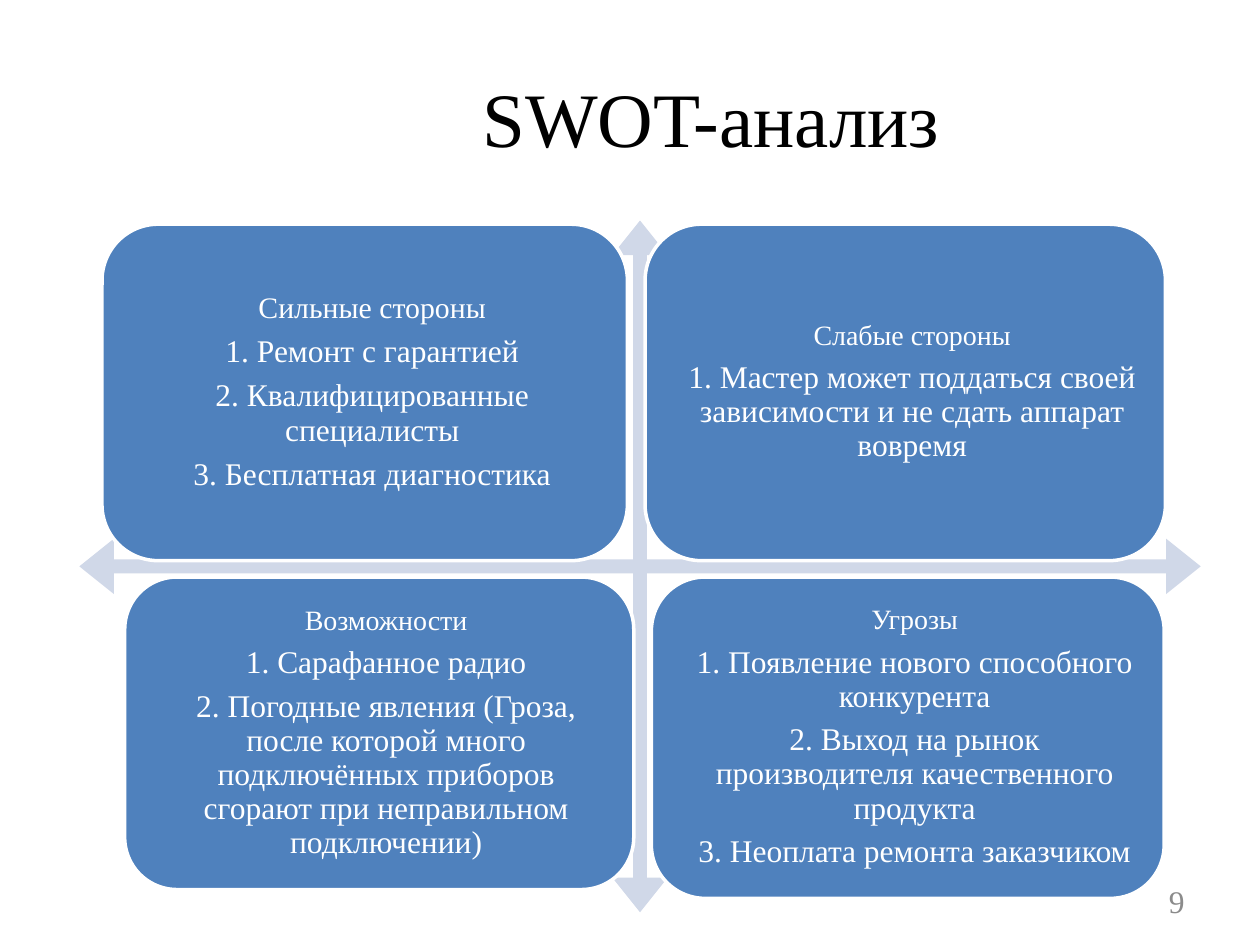
import pptx
import pptx.util
import pptx.dml.color
import pptx.enum.shapes
import pptx.enum.text

Inches = pptx.util.Inches
Pt = pptx.util.Pt
Shapes = pptx.enum.shapes.MSO_SHAPE
Align = pptx.enum.text.PP_ALIGN

TITLE = "SWOT-анализ"
PAGE_NUMBER = "9"
FONT = "Times New Roman"
COLORS = {
    "title": "000000",
    "arrow": "D0D8E8",
    "panel": "4F81BD",
    "light": "FFFFFF",
    "number": "8B8B8B",
}
PANELS = [
    {
        "place": (0.81, 1.78, 4.17, 2.67),
        "heading": "Сильные стороны",
        "size": 17, "gap": 6, "inset": 0.19,
        "points": [
            "Ремонт с гарантией",
            "Квалифицированные специалисты",
            "Бесплатная диагностика",
        ],
    },
    {
        "place": (5.12, 1.78, 4.13, 2.67),
        "heading": "Слабые стороны",
        "size": 16, "gap": 5.6, "inset": 0.18,
        "points": [
            "Мастер может поддаться своей зависимости и не сдать аппарат вовремя",
        ],
    },
    {
        "place": (0.99, 4.58, 4.04, 2.48),
        "heading": "Возможности",
        "size": 16, "gap": 5.6, "inset": 0.18,
        "points": [
            "Сарафанное радио",
            "Погодные явления (Гроза, после которой много подключённых приборов "
            "сгорают при неправильном подключении)",
        ],
    },
    {
        "place": (5.17, 4.58, 4.07, 2.55),
        "heading": "Угрозы",
        "size": 16, "gap": 5.6, "inset": 0.18,
        "points": [
            "Появление нового способного конкурента",
            "Выход на рынок производителя качественного продукта",
            "Неоплата ремонта заказчиком",
        ],
    },
]


def rgb(name):
    return pptx.dml.color.RGBColor.from_string(COLORS[name])


def write(para, text, size=18, color="light", align=Align.CENTER, gap=None, spacing=None):
    para.alignment = align
    if gap is not None:
        para.space_after = Pt(gap)
    if spacing is not None:
        para.line_spacing = spacing
    span = para.add_run()
    span.text = text
    span.font.name = FONT
    span.font.size = Pt(size)
    span.font.color.rgb = rgb(color)


def set_frame(box, left=0.1, top=0.05, right=0.1, bottom=0.05):
    frame = box.text_frame
    frame.word_wrap = True
    frame.auto_size = pptx.enum.text.MSO_AUTO_SIZE.NONE
    frame.vertical_anchor = pptx.enum.text.MSO_ANCHOR.MIDDLE
    frame.margin_left, frame.margin_top = Inches(left), Inches(top)
    frame.margin_right, frame.margin_bottom = Inches(right), Inches(bottom)
    return frame


def add_filled(page, kind, place, adjustments, color):
    shape = page.shapes.add_shape(kind, *map(Inches, place))
    shape.shadow.inherit = False
    for index, value in enumerate(adjustments):
        shape.adjustments[index] = value
    shape.fill.solid()
    shape.fill.fore_color.rgb = rgb(color)
    shape.line.fill.background()
    return shape


def add_panel(page, panel):
    box = add_filled(page, Shapes.ROUNDED_RECTANGLE, panel["place"], [0.167], "panel")
    box.line.color.rgb = rgb("light")
    box.line.width = Pt(2)
    inset = panel["inset"]
    frame = set_frame(box, inset, inset, 0.07, inset)
    layout = {"gap": panel["gap"], "spacing": 0.9}
    write(frame.paragraphs[0], panel["heading"], size=panel["size"], **layout)
    for number, point in enumerate(panel["points"], 1):
        write(frame.add_paragraph(), f"{number}. {point}", **layout)


def main():
    deck = pptx.Presentation()
    deck.slide_width, deck.slide_height = Inches(10), Inches(7.5)
    page = deck.slides.add_slide(deck.slide_layouts[5])

    title = page.shapes.title
    title.left, title.top = Inches(1.79), Inches(0.3)
    title.width, title.height = Inches(7.71), Inches(1.25)
    write(set_frame(title).paragraphs[0], TITLE, size=44, color="title")

    add_filled(page, Shapes.QUAD_ARROW, (0.63, 1.75, 8.9, 5.49), [0.02, 0.04, 0.05], "arrow")
    for panel in PANELS:
        add_panel(page, panel)

    number_box = page.shapes.add_textbox(*map(Inches, (7.17, 6.95, 2.33, 0.4)))
    write(set_frame(number_box).paragraphs[0], PAGE_NUMBER, color="number", align=Align.RIGHT)

    deck.save("out.pptx")


if __name__ == "__main__":
    main()
